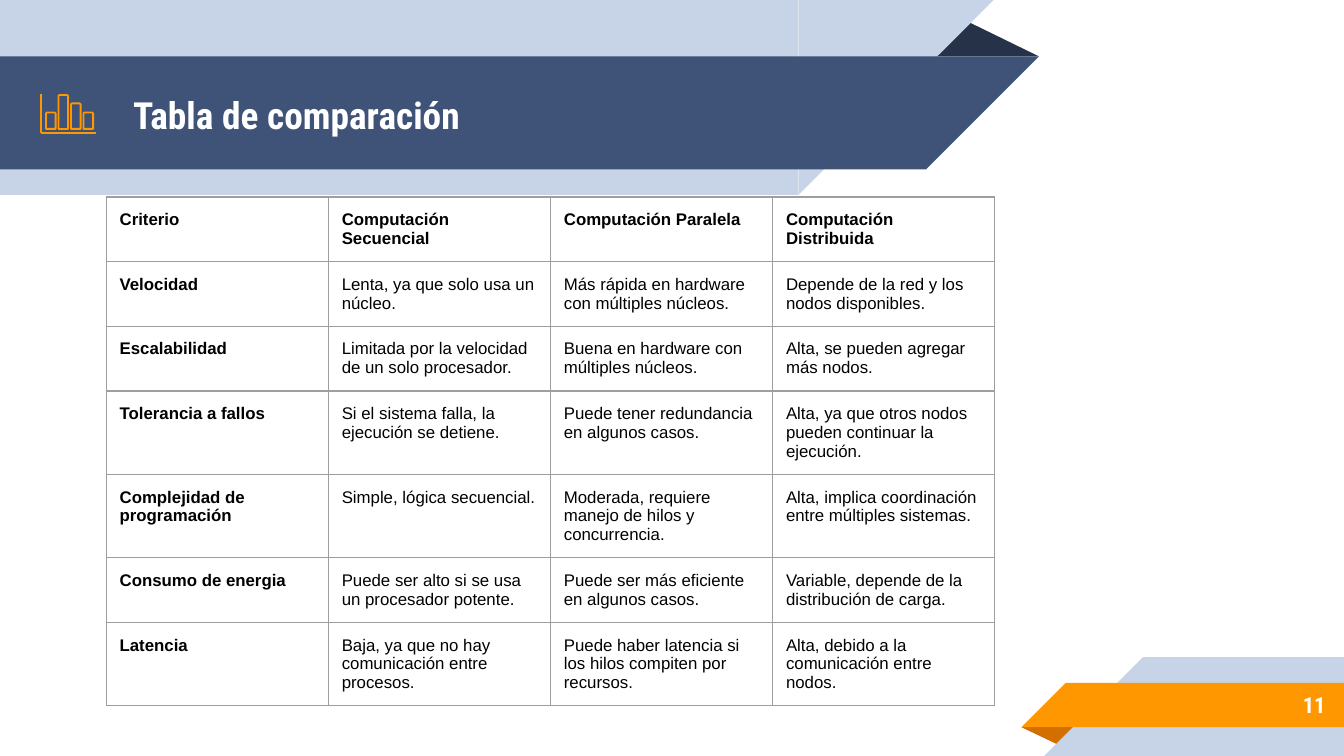
from dataclasses import dataclass
from typing import NamedTuple

from lxml.etree import SubElement
from pptx import Presentation
from pptx.dml.color import RGBColor
from pptx.enum.shapes import MSO_SHAPE
from pptx.enum.text import MSO_ANCHOR, PP_ALIGN
from pptx.oxml.ns import qn
from pptx.util import Pt


@dataclass(frozen=True)
class Theme:
    pale: str = "C7D3E6"
    blue: str = "3F5378"
    navy: str = "263248"
    orange: str = "FF9800"
    rust: str = "D26F00"
    grid: str = "9E9E9E"
    white: str = "FFFFFF"
    black: str = "000000"
    display_font: str = "Roboto Condensed"
    table_font: str = "Arial"
    title_size: float = 20
    number_size: float = 12
    table_size: float = 9
    inset: float = 7.2
    icon_line: float = 0.96
    grid_line: float = 0.75


class Box(NamedTuple):
    left: float
    top: float
    width: float
    height: float

    def points(self):
        return [Pt(value) for value in self]


THEME = Theme()
COLUMN_WIDTH = 119
ROW_HEIGHTS = [33, 30, 30, 37, 37, 33, 37]
COMPARISON = [
    ["Criterio", "Computación Secuencial", "Computación Paralela",
     "Computación Distribuida"],
    ["Velocidad", "Lenta, ya que solo usa un núcleo.",
     "Más rápida en hardware con múltiples núcleos.",
     "Depende de la red y los nodos disponibles."],
    ["Escalabilidad", "Limitada por la velocidad de un solo procesador.",
     "Buena en hardware con múltiples núcleos.",
     "Alta, se pueden agregar más nodos."],
    ["Tolerancia a fallos", "Si el sistema falla, la ejecución se detiene.",
     "Puede tener redundancia en algunos casos.",
     "Alta, ya que otros nodos pueden continuar la ejecución."],
    ["Complejidad de programación", "Simple, lógica secuencial.",
     "Moderada, requiere manejo de hilos y concurrencia.",
     "Alta, implica coordinación entre múltiples sistemas."],
    ["Consumo de energia", "Puede ser alto si se usa un procesador potente.",
     "Puede ser más eficiente en algunos casos.",
     "Variable, depende de la distribución de carga."],
    ["Latencia", "Baja, ya que no hay comunicación entre procesos.",
     "Puede haber latencia si los hilos compiten por recursos.",
     "Alta, debido a la comunicación entre nodos."],
]


def set_all(target, values):
    for name, value in values.items():
        setattr(target, name, value)


def write_text(frame, text, size, font, color, bold=True, align=PP_ALIGN.LEFT,
               anchor=MSO_ANCHOR.MIDDLE):
    margins = ("margin_left", "margin_top", "margin_right", "margin_bottom")
    set_all(frame, dict.fromkeys(margins, Pt(THEME.inset)))
    set_all(frame, {"word_wrap": True, "vertical_anchor": anchor})
    para = frame.paragraphs[0]
    para.alignment = align
    span = para.add_run()
    span.text = text
    set_all(span.font, {"size": Pt(size), "name": font, "bold": bold})
    span.font.color.rgb = RGBColor.from_string(color)


def add_plain(page, kind, box, color, rotation=0, mirrored=False):
    """Add a filled preset shape without line or shadow."""
    shape = page.shapes.add_shape(kind, *box.points())
    shape.shadow.inherit = False
    shape.fill.solid()
    shape.fill.fore_color.rgb = RGBColor.from_string(color)
    shape.line.fill.background()
    shape.rotation = rotation
    if mirrored:
        shape._element.spPr.find(qn("a:xfrm")).set("flipH", "1")
    return shape


def add_ribbon(page, box, color, points_right):
    """Fill the box with a band whose one end is cut at 45 degrees."""
    left, top, width, height = box
    body_left, tip_left = left, left + width - height
    if not points_right:
        body_left, tip_left = left + height, left
    format_values = {"rotation": 180 if points_right else 0, "mirrored": True}
    add_plain(page, MSO_SHAPE.RECTANGLE,
              Box(body_left, top, width - height, height), color, **format_values)
    add_plain(page, MSO_SHAPE.RIGHT_TRIANGLE,
              Box(tip_left, top, height, height), color, **format_values)


def add_fold(page, box, color, rotation=0):
    fold = add_plain(page, MSO_SHAPE.ISOSCELES_TRIANGLE, box, color, rotation)
    fold.adjustments[0] = 0.324


def add_banner(page, box):
    band = Box(box.left, box.top + 30.2, box.width, 60.5)
    right = box.left + box.width
    add_fold(page, Box(right - 61.2, band.top - 20.2, 61.2, 20.2), THEME.navy)
    add_ribbon(page, Box(box.left, box.top, box.width - 24.4, box.height),
               THEME.pale, True)
    add_ribbon(page, band, THEME.blue, True)


def add_corner(page, box, number):
    band = Box(box.left, box.top + 13.8, box.width, 23.8)
    add_fold(page, Box(box.left, band.top + band.height, 31, 10), THEME.rust, 180)
    add_ribbon(page, Box(box.left + 12.2, box.top, box.width - 12.2, box.height),
               THEME.pale, False)
    add_ribbon(page, band, THEME.orange, False)
    label = page.shapes.add_textbox(
        *Box(box.left + 52.6, band.top - 0.6, 117.4, 25).points())
    write_text(label.text_frame, number, THEME.number_size, THEME.display_font,
               THEME.white, align=PP_ALIGN.RIGHT)


def add_title(page, box, text):
    title = page.shapes.title
    page.shapes._spTree.append(title._element)  # bring in front of the banner
    set_all(title, dict(zip(("left", "top", "width", "height"), box.points())))
    write_text(title.text_frame, text, THEME.title_size, THEME.display_font,
               THEME.white)


def add_outline(page, vertices, closed):
    start, *others = [(Pt(x), Pt(y)) for x, y in vertices]
    builder = page.shapes.build_freeform(*start)
    builder.add_line_segments(others, close=closed)
    outline = builder.convert_to_shape()
    outline.shadow.inherit = False
    outline.fill.background()
    outline.line.width = Pt(THEME.icon_line)
    outline.line.color.rgb = RGBColor.from_string(THEME.orange)


def add_chart_icon(page, box):
    left, top, width, height = box
    right, bottom, bevel = left + width, top + height, 0.5
    add_outline(page, [(left, top), (left, bottom - bevel),
                       (left + bevel, bottom), (right, bottom)], False)
    base, bar_width, pitch = bottom - 2.2, 5.2, 6.7
    for index, bar_height in enumerate([8.8, 18.2, 13.7, 8.8]):
        start = left + 2.6 + index * pitch
        end, peak = start + bar_width, base - bar_height
        add_outline(page, [(end, base), (end, peak + bevel), (end - bevel, peak),
                           (start + bevel, peak), (start, peak + bevel),
                           (start, base)], True)


def add_cell_borders(cell):
    properties = cell._tc.get_or_add_tcPr()
    for position, side in enumerate(("lnL", "lnR", "lnT", "lnB")):
        line = SubElement(properties, qn(f"a:{side}"), w=str(Pt(THEME.grid_line)))
        fill = SubElement(line, qn("a:solidFill"))
        SubElement(fill, qn("a:srgbClr"), val=THEME.grid)
        properties.insert(position, line)


def add_comparison(page, box, rows):
    table = page.shapes.add_table(len(rows), len(rows[0]), *box.points()).table
    set_all(table, {"first_row": False, "horz_banding": False})
    for column in table.columns:
        column.width = Pt(COLUMN_WIDTH)
    for row_index, texts in enumerate(rows):
        table.rows[row_index].height = Pt(ROW_HEIGHTS[row_index])
        for column_index, text in enumerate(texts):
            cell = table.cell(row_index, column_index)
            cell.fill.background()
            add_cell_borders(cell)
            write_cell(cell, text, row_index == 0 or column_index == 0)


def write_cell(cell, text, bold):
    margins = ("margin_left", "margin_top", "margin_right", "margin_bottom")
    set_all(cell, dict.fromkeys(margins, Pt(THEME.inset)))
    cell.vertical_anchor = MSO_ANCHOR.TOP
    span = cell.text_frame.paragraphs[0].add_run()
    span.text = text
    set_all(span.font, {"size": Pt(THEME.table_size), "name": THEME.table_font,
                        "bold": bold})
    span.font.color.rgb = RGBColor.from_string(THEME.black)


def main():
    deck = Presentation()
    set_all(deck, {"slide_width": Pt(720), "slide_height": Pt(405)})
    page = deck.slides.add_slide(deck.slide_layouts[5])
    add_banner(page, Box(0, 0, 556.6, 104.4))
    add_corner(page, Box(547.2, 352, 172.8, 53), "11")
    add_title(page, Box(64.1, 31, 414, 60.5), "Tabla de comparación")
    add_comparison(page, Box(56.9, 105.6, 4 * COLUMN_WIDTH, sum(ROW_HEIGHTS)),
                   COMPARISON)
    add_chart_icon(page, Box(22, 50.4, 29.4, 20.9))
    deck.save("out.pptx")


if __name__ == "__main__":
    main()
